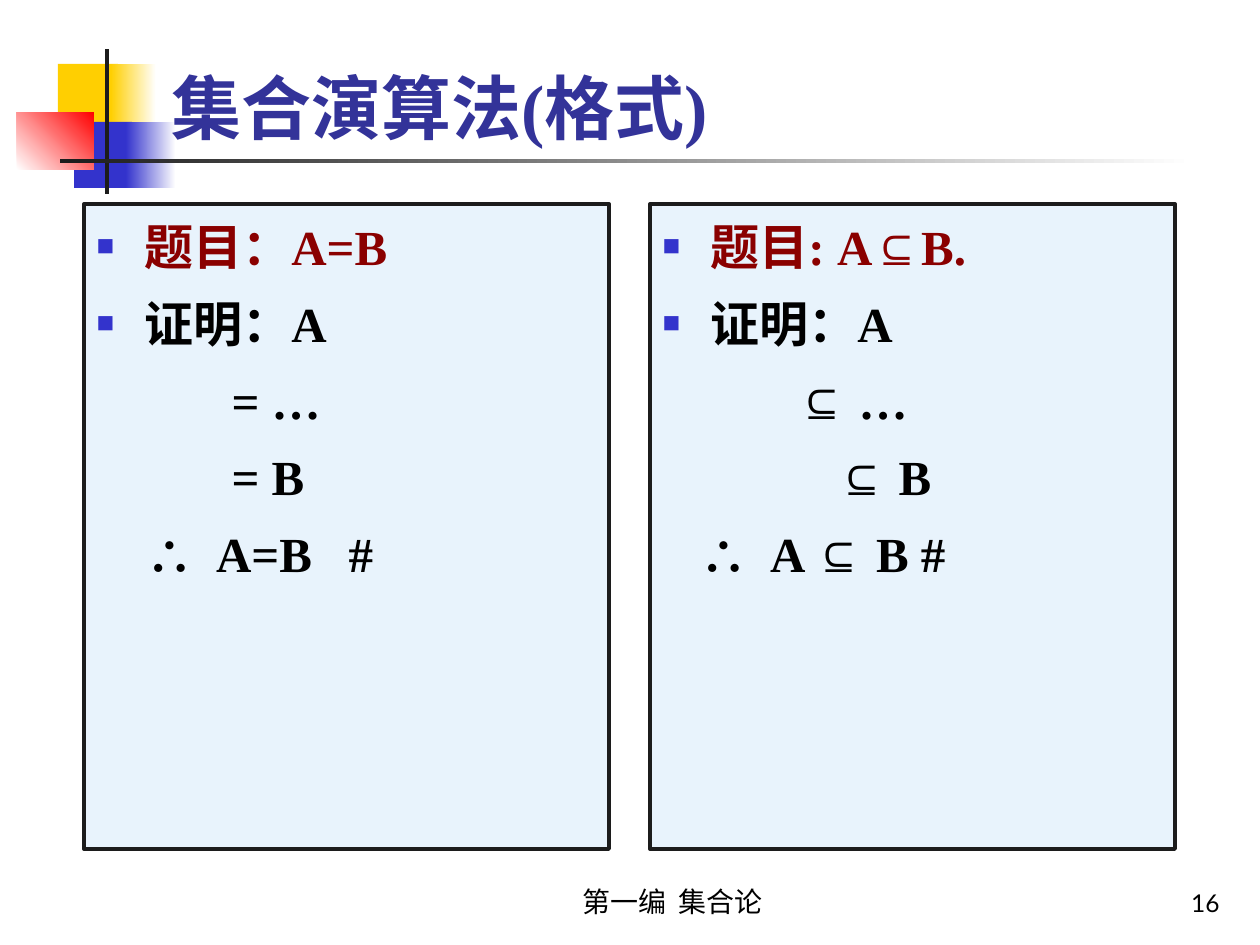
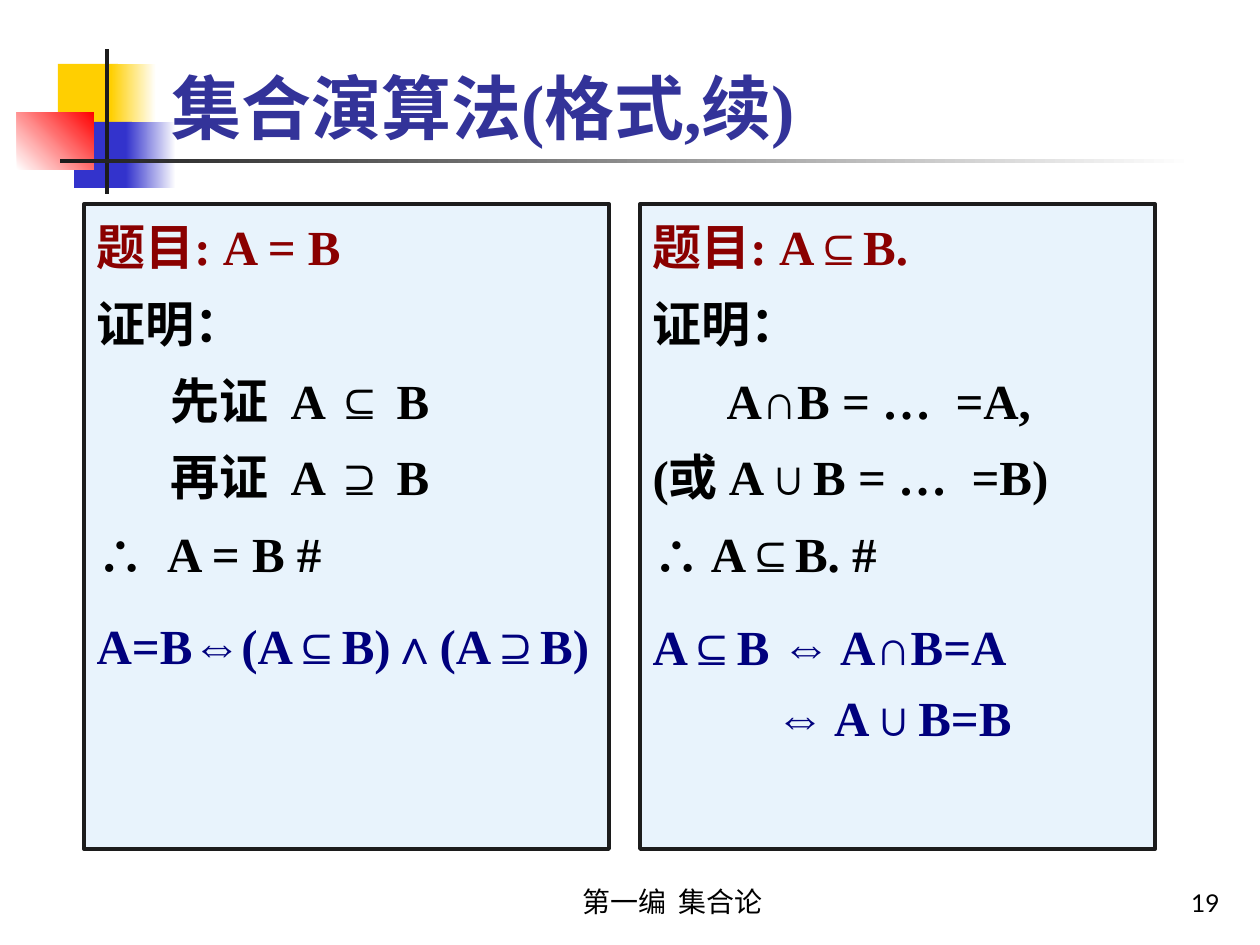
from lxml.etree import SubElement as Sub
from pptx import Presentation
from pptx.dml.color import RGBColor as Rgb
from pptx.enum.shapes import MSO_SHAPE as Form
from pptx.enum.text import MSO_ANCHOR as Anchor, MSO_AUTO_SIZE as Fit, PP_ALIGN as Align
from pptx.oxml.ns import qn
from pptx.util import Pt

WHITE, BLACK, DARK = "FFFFFF", "000000", "1C1C1C"
GOLD, BLUE, RED = "FFCF01", "3333CC", "FF0000"
PANEL, TITLE, TOPIC, NAVY = "E8F3FC", "333399", "8A0000", "00007D"
SERIF, SANS, SYMBOL = "Times New Roman", "Lato", "Arial"
HANG = 48


def hue(code):
    return Rgb.from_string(code)


def px(*sizes):
    return [round(size * 914400 / 126) for size in sizes]


LEFT, WIDE, SLIM = (84, 204, 525, 645), (650, 204, 525, 645), (640, 204, 515, 645)
HEAD = dict(size=40, font=SERIF, bold=True, align=Align.LEFT, anchor=Anchor.BOTTOM, space=1.0, before=0)
BODY = dict(size=28, font=SERIF, bold=True, align=Align.LEFT, anchor=Anchor.TOP, space=1.1, before=7)
FOOT = dict(HEAD, size=16, bold=False, align=Align.CENTER, space=1.1, before=4)
PAGE = dict(HEAD, size=14, font=SANS, bold=False, align=Align.RIGHT)

POINT = dict(dot=True)
PAGES = [
    ("集合演算法(格式)", "16", [
        (LEFT, [
            ("题目：A=B", TOPIC, POINT),
            ("证明：A", BLACK, POINT),
            ("= …", BLACK, dict(indent=135)),
            ("= B", BLACK, dict(indent=135)),
            ("∴  A=B\t#", BLACK, dict(indent=49, tab=264)),
        ]),
        (WIDE, [
            ("题目: A⊆B.", TOPIC, POINT),
            ("证明：A", BLACK, POINT),
            ("⊆ …", BLACK, dict(indent=135)),
            ("⊆ B", BLACK, dict(indent=175)),
            ("∴  A ⊆ B #", BLACK, dict(indent=37)),
        ]),
    ]),
    ("集合演算法(格式,续)", "19", [
        (LEFT, [
            ("题目: A = B", TOPIC, {}),
            ("证明：", BLACK, {}),
            ("先证  A ⊆ B", BLACK, dict(indent=74)),
            ("再证  A ⊇ B", BLACK, dict(indent=74)),
            ("∴  A = B #", BLACK, {}),
            ("A=B⇔(A⊆B)∧(A⊇B)", NAVY, dict(space=0.7, before=28)),
        ]),
        (SLIM, [
            ("题目: A⊆B.", TOPIC, {}),
            ("证明：", BLACK, {}),
            ("A∩B = …  =A,", BLACK, dict(indent=74)),
            ("(或 A∪B = …  =B)", BLACK, {}),
            ("∴ A⊆B. #", BLACK, {}),
            ("A⊆B ⇔ A∩B=A", NAVY, dict(before=15.8)),
            ("⇔ A∪B=B", NAVY, dict(indent=123, space=1.0)),
        ]),
    ]),
]

DECOR = [
    ((58, 64, 60, 66), [GOLD], 0),
    ((111, 64, 45, 66), [GOLD, WHITE], 0),
    ((74, 122, 58, 66), [BLUE], 0),
    ((126, 122, 50, 66), [BLUE, WHITE], 0),
    ((17, 112, 77, 58), [WHITE, RED], 45),
    ((105, 49, 4, 145), [DARK], 0),
    ((60, 159, 1134, 4), [DARK, WHITE], 0),
]

deck = Presentation()
deck.slide_width, deck.slide_height = px(1260, 945)
layout = deck.slide_layouts[3]
slides = [deck.slides.add_slide(layout) for page in PAGES]

for place, tones, angle in DECOR:
    block = slides[0].shapes.add_shape(Form.RECTANGLE, *px(*place))
    block.shadow.inherit = False
    block.line.fill.background()
    if len(tones) == 1:
        block.fill.solid()
        block.fill.fore_color.rgb = hue(tones[0])
    else:
        block.fill.gradient()
        block.fill.gradient_angle = angle
        for stop, tone in zip(block.fill.gradient_stops, tones):
            stop.color.rgb = hue(tone)
    layout.shapes.element.append(block.element)

for slide, (title, number, panels) in zip(slides, PAGES):
    holders = list(slide.placeholders)
    jobs = [(holders[0], (159, 49, 1074, 106), [(title, TITLE, {})], HEAD)]
    for holder, (place, lines) in zip(holders[1:], panels):
        holder.fill.solid()
        holder.fill.fore_color.rgb = hue(PANEL)
        holder.line.color.rgb = hue(DARK)
        holder.line.width = Pt(2.25)
        jobs.append((holder, place, lines, BODY))
    for place, text, style in [
        ((970, 861, 262, 63), number, PAGE),
        ((473, 861, 399, 63), "第一编  集合论", FOOT),
    ]:
        box = slide.shapes.add_textbox(*px(*place))
        jobs.append((box, place, [(text, BLACK, {})], style))

    for shape, place, lines, style in jobs:
        for key, size in zip(("left", "top", "width", "height"), px(*place)):
            setattr(shape, key, size)
        frame = shape.text_frame
        traits = dict(word_wrap=True, auto_size=Fit.NONE, vertical_anchor=style["anchor"])
        for key, value in traits.items():
            setattr(frame, key, value)
        for row, (text, tone, extra) in enumerate(lines):
            look = {**style, **extra}
            para = frame.add_paragraph() if row else frame.paragraphs[0]
            traits = dict(alignment=look["align"], line_spacing=look["space"],
                          space_before=Pt(look["before"]), space_after=Pt(0))
            for key, value in traits.items():
                setattr(para, key, value)

            props = para._p.get_or_add_pPr()
            dot = look.get("dot")
            margin, indent = px(HANG, -HANG) if dot else px(0, look.get("indent", 0))
            props.set("marL", str(margin))
            props.set("indent", str(indent))
            if dot:
                Sub(Sub(props, qn("a:buClr")), qn("a:srgbClr"), val=BLUE)
                Sub(props, qn("a:buSzPct"), val="60000")
                Sub(props, qn("a:buFont"), typeface=SYMBOL)
                Sub(props, qn("a:buChar"), char="■")
            else:
                Sub(props, qn("a:buNone"))
            if "tab" in look:
                stops = Sub(props, qn("a:tabLst"))
                Sub(stops, qn("a:tab"), pos=str(px(look["tab"])[0]), algn="l")

            for part in filter(None, text.partition("⇔")):
                run = para.add_run()
                run.text = part
                run.font.color.rgb = hue(tone)
                traits = dict(size=Pt(look["size"]), bold=look["bold"],
                              name=SYMBOL if part == "⇔" else look["font"])
                for key, value in traits.items():
                    setattr(run.font, key, value)

deck.save("out.pptx")
